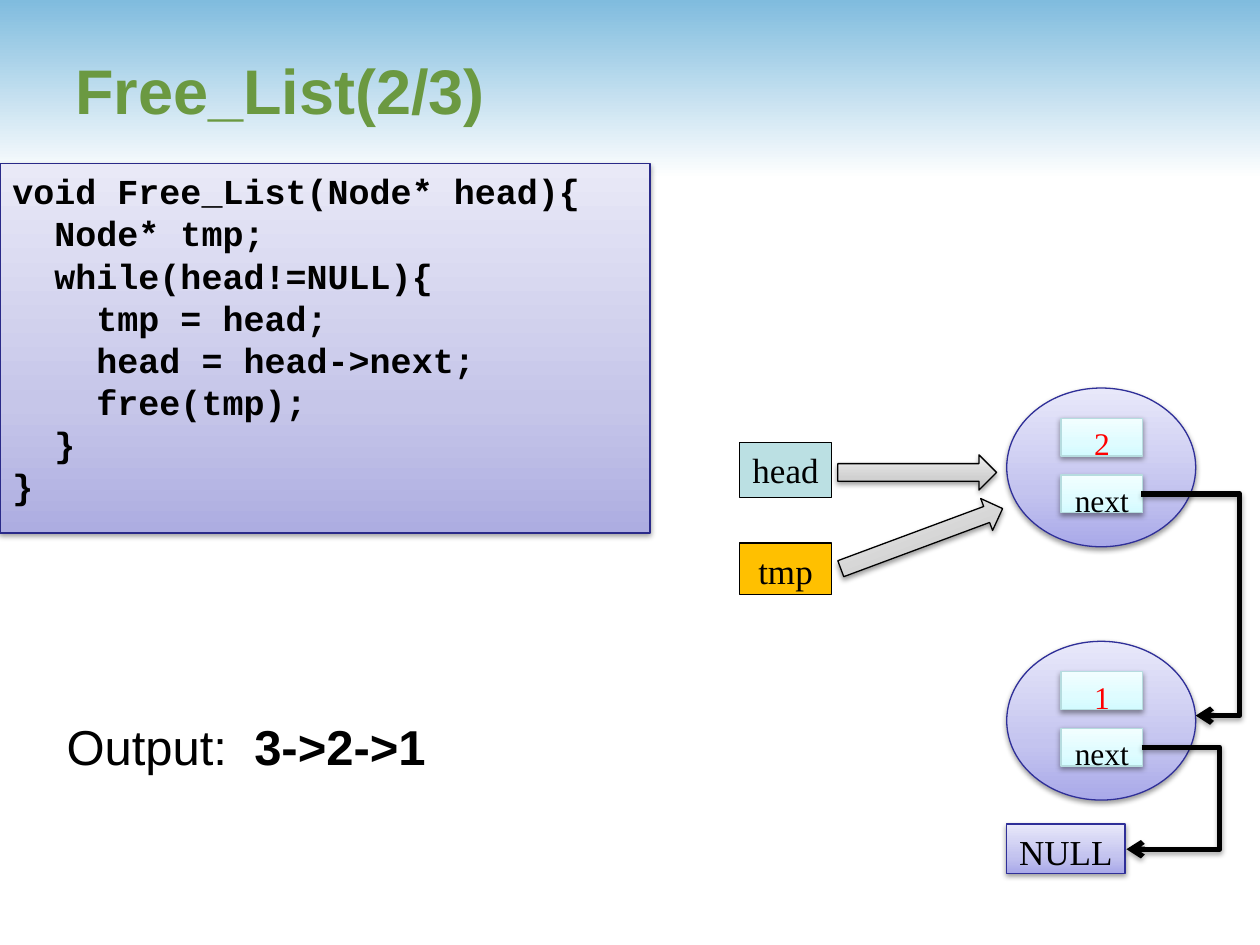
import pptx
import pptx.util
import pptx.dml.color
import pptx.enum.shapes
import pptx.enum.text
import pptx.oxml
import pptx.oxml.ns

Inches, Pt = pptx.util.Inches, pptx.util.Pt
RGB = pptx.dml.color.RGBColor
SHAPE = pptx.enum.shapes.MSO_SHAPE
CENTER = pptx.enum.text.PP_ALIGN.CENTER
qn = pptx.oxml.ns.qn
NS = pptx.oxml.ns.nsdecls("a")

BLACK = RGB(0x00, 0x00, 0x00)
RED = RGB(0xFF, 0x00, 0x00)
TITLE_GREEN = RGB(0x6B, 0x99, 0x41)
HEAD_TEAL = RGB(0xBB, 0xE0, 0xE3)
TMP_AMBER = RGB(0xFF, 0xC0, 0x00)
CODE_EDGE = RGB(0x2A, 0x2A, 0x89)
NODE_EDGE = RGB(0x2F, 0x2F, 0x98)
FIELD_EDGE = RGB(0xB6, 0xDC, 0xDF)


def stops(*pairs):
    return [(share, RGB.from_string(color)) for share, color in pairs]


# Gradient stops, in percent
SKY = stops((0, "80BCDE"), (100, "FFFFFF"))
CODE_FILL = stops((0, "ADADE1"), (35, "C6C6E9"), (100, "E9E9F7"))
NODE_FILL = stops((0, "A9A9E9"), (35, "C4C4EF"), (100, "E8E8FA"))
FIELD_FILL = stops((0, "D3FBFF"), (35, "DFFCFF"), (100, "F2FEFF"))
ARROW_FILL = stops((0, "BDBDBD"), (35, "D1D1D1"), (100, "EEEEEE"))

# Content
TITLE = "Free_List(2/3)"
CODE = """void Free_List(Node* head){
  Node* tmp;
  while(head!=NULL){
    tmp = head;
    head = head->next;
    free(tmp);
  }
}"""
OUTPUT_LABEL, OUTPUT_VALUE = "Output:\t", "3->2->1"
NODES = [("2", 3.08), ("1", 5.09)]  # value, top
POINTERS = [  # name, top, height, fill
    ("head", 3.51, 0.44, HEAD_TEAL),
    ("tmp", 4.31, 0.41, TMP_AMBER),
]
BLOCK_ARROWS = [  # left, top, width, height, rotation
    (6.65, 3.61, 1.26, 0.28, 0),
    (6.63, 4.14, 1.37, 0.27, -20.4),
]
LINKS = [  # start, end, x of the vertical run
    ((9.06, 3.92), (9.49, 5.68), 9.84),
    ((9.06, 5.93), (8.94, 6.74), 9.68),
]
NODE_LEFT = 7.99

deck = pptx.Presentation()
deck.slide_width, deck.slide_height = Inches(10), Inches(7.5)
page = deck.slides.add_slide(deck.slide_layouts[6])


def add_shadow(item, opacity):
    item._element.spPr.append(pptx.oxml.parse_xml(
        f'<a:effectLst {NS}><a:outerShdw blurRad="39400" dist="20300" dir="5400000" '
        f'rotWithShape="0"><a:srgbClr val="000000"><a:alpha val="{opacity}000"/>'
        '</a:srgbClr></a:outerShdw></a:effectLst>'))


def fill_gradient(shape, colors, angle):
    shape.fill.gradient()
    shape.fill.gradient_angle = angle
    stop_list = shape._element.spPr.find(qn("a:gradFill")).find(qn("a:gsLst"))
    for old in list(stop_list):
        stop_list.remove(old)
    for share, color in colors:
        stop_list.append(pptx.oxml.parse_xml(
            f'<a:gs {NS} pos="{share * 1000}"><a:srgbClr val="{color}"/></a:gs>'))


def style(span, size, font, color=BLACK, bold=False):
    span.font.size, span.font.name = Pt(size), font
    span.font.color.rgb, span.font.bold = color, bold


def add_block(kind, area, fill, edge=None, angle=90):
    shape = page.shapes.add_shape(kind, *map(Inches, area))
    if isinstance(fill, list):
        fill_gradient(shape, fill, angle)
    else:
        shape.fill.solid()
        shape.fill.fore_color.rgb = fill
    if edge is None:
        shape.line.fill.background()
    else:
        shape.line.color.rgb, shape.line.width = edge, Pt(0.75)
    if edge is not None and isinstance(fill, list):
        add_shadow(shape, 38)
    else:
        shape.shadow.inherit = False
    return shape


def write(shape, text, size, font="Times New Roman", color=BLACK, bold=False,
          align=CENTER, spacing=None):
    frame = shape.text_frame
    frame.word_wrap = True
    frame.vertical_anchor = pptx.enum.text.MSO_ANCHOR.TOP
    frame.text = text
    for para in frame.paragraphs:
        para.alignment, para.line_spacing = align, spacing
        for span in para.runs:
            style(span, size, font, color, bold)


LEFT = pptx.enum.text.PP_ALIGN.LEFT

# Header band and title
band = add_block(SHAPE.PENTAGON, (0, 0, 10, 1.42), SKY, angle=270)
band.adjustments[0] = 0
title = page.shapes.add_textbox(*map(Inches, (0.5, 0.08, 9.08, 1.25)))
write(title, TITLE, 36, "Arial", TITLE_GREEN, True, LEFT)
title.text_frame.vertical_anchor = pptx.enum.text.MSO_ANCHOR.MIDDLE

# Code panel
panel = add_block(SHAPE.RECTANGLE, (0, 1.3, 5.16, 2.93), CODE_FILL, CODE_EDGE)
write(panel, CODE, 20, "Courier New", bold=True, align=LEFT, spacing=Pt(24))

# Pointer variables and their arrows
for name, top, height, color in POINTERS:
    write(add_block(SHAPE.RECTANGLE, (5.87, top, 0.73, height), color, BLACK), name, 20)
for *area, rotation in BLOCK_ARROWS:
    arrow = add_block(SHAPE.RIGHT_ARROW, area, ARROW_FILL, BLACK)
    arrow.rotation = rotation

# List nodes, each with a value and a next field
for value, top in NODES:
    add_block(SHAPE.OVAL, (NODE_LEFT, top, 1.5, 1.26), NODE_FILL, NODE_EDGE)
    for row, (text, color) in enumerate([(value, RED), ("next", BLACK)]):
        area = (NODE_LEFT + 0.43, top + 0.24 + 0.45 * row, 0.65, 0.3)
        write(add_block(SHAPE.RECTANGLE, area, FIELD_FILL, FIELD_EDGE), text, 18, color=color)
null_box = add_block(SHAPE.RECTANGLE, (NODE_LEFT, 6.54, 0.94, 0.39), NODE_FILL, NODE_EDGE)
write(null_box, "NULL", 20, align=LEFT)

# Links from each next field
for start, end, bend in LINKS:
    link = page.shapes.add_connector(
        pptx.enum.shapes.MSO_CONNECTOR.ELBOW, *map(Inches, start + end))
    link.line.color.rgb, link.line.width = BLACK, Pt(3)
    link.line._get_or_add_ln().append(pptx.oxml.parse_xml(f'<a:tailEnd {NS} type="arrow"/>'))
    share = round((bend - start[0]) / (end[0] - start[0]) * 100000)
    guides = link._element.spPr.find(qn("a:prstGeom")).get_or_add_avLst()
    guides.append(pptx.oxml.parse_xml(f'<a:gd {NS} name="adj1" fmla="val {share}"/>'))
    add_shadow(link, 35)

# Output line
output = page.shapes.add_textbox(*map(Inches, (0.43, 5.64, 3.67, 0.57)))
output.text_frame.word_wrap = True
para = output.text_frame.paragraphs[0]
para._p.get_or_add_pPr().append(pptx.oxml.parse_xml(
    f'<a:tabLst {NS}><a:tab pos="{Inches(1.49)}" algn="l"/></a:tabLst>'))
for text, bold in [(OUTPUT_LABEL, False), (OUTPUT_VALUE, True)]:
    span = para.add_run()
    span.text = text
    style(span, 28, "Arial", bold=bold)

deck.save("out.pptx")
